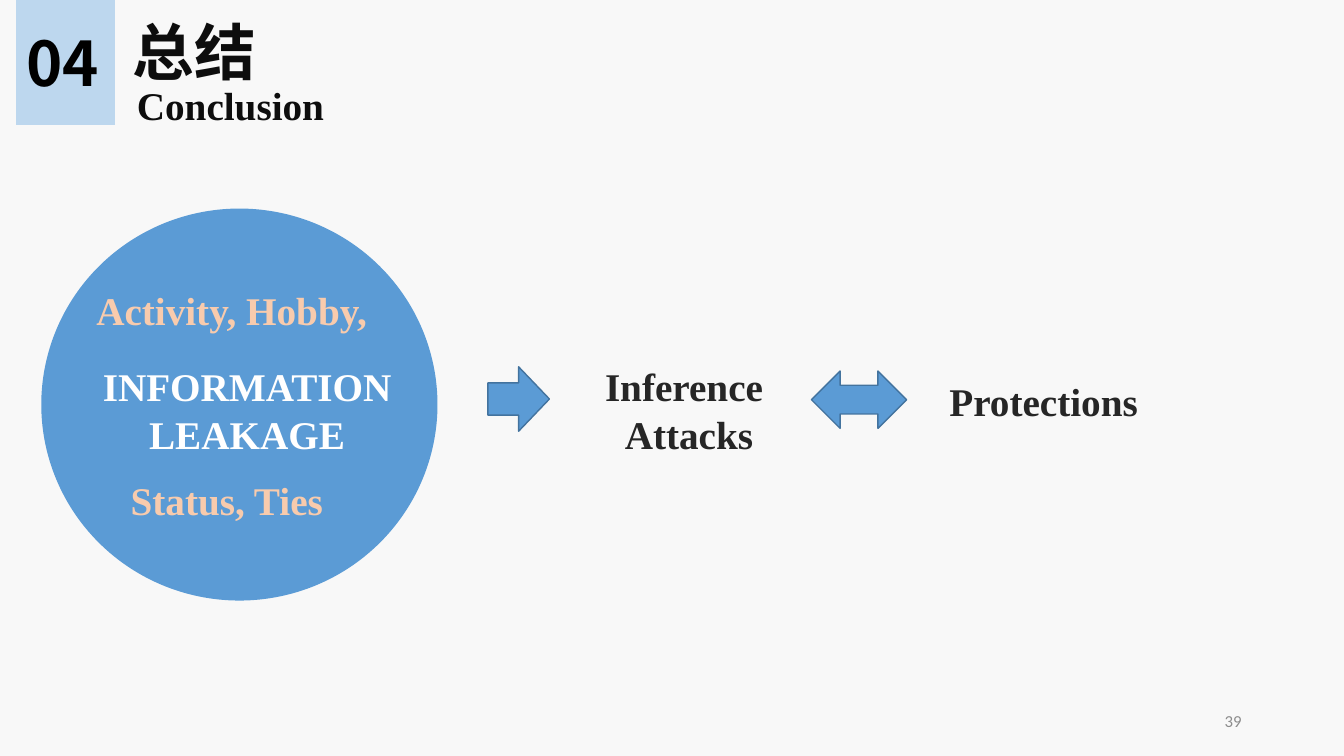
from dataclasses import dataclass
from pptx import Presentation
from pptx.dml.color import RGBColor
from pptx.enum.shapes import MSO_SHAPE as Kind
from pptx.enum.text import MSO_ANCHOR as Anchor, MSO_AUTO_SIZE as Fit, PP_ALIGN as Align
from pptx.oxml.ns import qn
from pptx.shapes.autoshape import Shape
from pptx.util import Pt

BACK = RGBColor(0xF8, 0xF8, 0xF8)
PALE = RGBColor(0xBD, 0xD7, 0xEE)
BLUE = RGBColor(0x5B, 0x9B, 0xD5)
EDGE = RGBColor(0x43, 0x73, 0x9E)
PEACH = RGBColor(0xF8, 0xCB, 0xAD)
WHITE = RGBColor(0xFF, 0xFF, 0xFF)
BLACK = RGBColor(0, 0, 0)
INK = RGBColor(0x0D, 0x0D, 0x0D)
DARK = RGBColor(0x26, 0x26, 0x26)
GREY = RGBColor(0x8C, 0x8C, 0x8C)
SERIF = "Times New Roman"
SANS = "Noto Sans CJK SC"


@dataclass
class Form:
    kind: Kind
    box: tuple[float, float, float, float]
    fill: RGBColor
    edge: RGBColor | None = None


@dataclass
class Label:
    lines: list[str]
    box: tuple[float, float, float, float]
    color: RGBColor
    size: float = 28
    face: str = SERIF
    align: Align = Align.CENTER
    bold: bool = True
    gap: float = 0
    anchor: Anchor = Anchor.TOP
    fit: Fit = Fit.SHAPE_TO_FIT_TEXT


def draw(slide, form: Form) -> None:
    shape = slide.shapes.add_shape(form.kind, *map(Pt, form.box))
    shape.shadow.inherit = False
    shape.fill.solid()
    shape.fill.fore_color.rgb = form.fill
    if form.edge is None:
        shape.line.fill.background()
    else:
        shape.line.color.rgb = form.edge
        shape.line.width = Pt(1)


def write(shape: Shape, label: Label) -> None:
    shape.left, shape.top, shape.width, shape.height = map(Pt, label.box)
    frame = shape.text_frame
    frame.word_wrap = True
    frame.auto_size = label.fit
    frame.vertical_anchor = label.anchor
    frame.text = "\n".join(label.lines)
    for i, par in enumerate(frame.paragraphs):
        par.alignment = label.align
        if i:
            par.space_before = Pt(label.gap)
        font = par.font
        font.name, font.size, font.bold = label.face, Pt(label.size), label.bold
        font.color.rgb = label.color
        # East Asian text needs its own typeface entry
        for run in par.runs:
            props = run._r.get_or_add_rPr()
            props.append(props.makeelement(qn("a:ea"), {"typeface": label.face}))


TITLE = Label(["总结"], (87.8, 6.5, 105.8, 60.5), INK, 44, SANS, Align.LEFT)

FORMS = [
    Form(Kind.RECTANGLE, (11.5, 0, 70.6, 89.3), PALE),
    Form(Kind.OVAL, (29.5, 149, 283, 280), BLUE),
    Form(Kind.RIGHT_ARROW, (348.5, 262, 44, 46), BLUE, EDGE),
    Form(Kind.LEFT_RIGHT_ARROW, (579.6, 265, 68, 41), BLUE, EDGE),
]

LABELS = [
    Label(["04"], (11.5, 14.4, 70.6, 60.5), BLACK, 44, SANS, Align.LEFT),
    Label(["Conclusion"], (90.7, 54.7, 150.5, 41), INK, align=Align.LEFT),
    Label(["Activity, Hobby,", "Status, Ties "], (5, 201, 321, 177), PEACH, gap=102),
    Label(["INFORMATION LEAKAGE"], (16, 255.6, 321, 75), WHITE),
    Label(["Inference ", "Attacks"], (404.6, 255.6, 175, 75), DARK),
    Label(["Protections"], (658, 265.7, 175, 41), DARK),
    Label(["39"], (678, 500.4, 216, 28.8), GREY, 12, "Calibri", Align.RIGHT,
          False, anchor=Anchor.MIDDLE, fit=Fit.NONE),
]


def main() -> None:
    deck = Presentation()
    deck.slide_width, deck.slide_height = Pt(960), Pt(540)
    slide = deck.slides.add_slide(deck.slide_layouts[5])
    slide.background.fill.solid()
    slide.background.fill.fore_color.rgb = BACK

    # Heading
    write(slide.shapes.title, TITLE)

    # Circle, arrows and their words
    for form in FORMS:
        draw(slide, form)
    for label in LABELS:
        write(slide.shapes.add_textbox(0, 0, 0, 0), label)

    deck.save("out.pptx")


if __name__ == "__main__":
    main()
